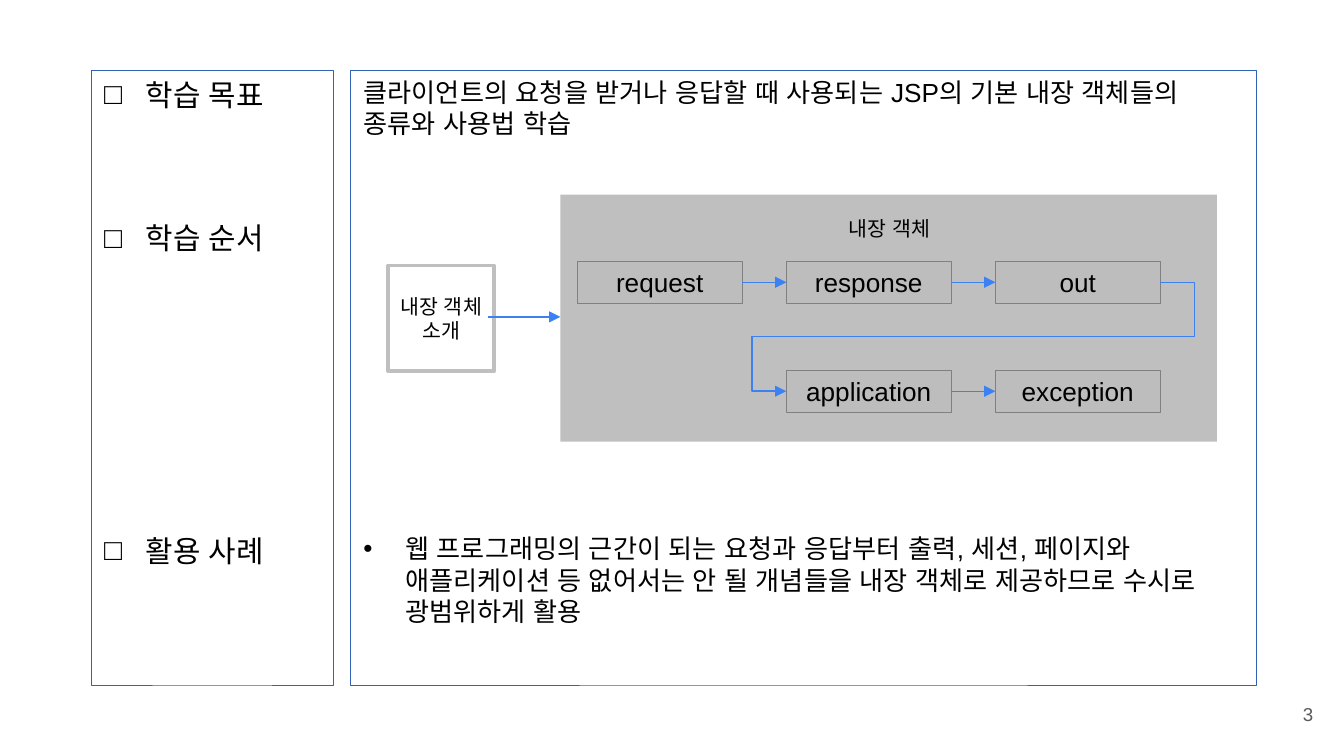
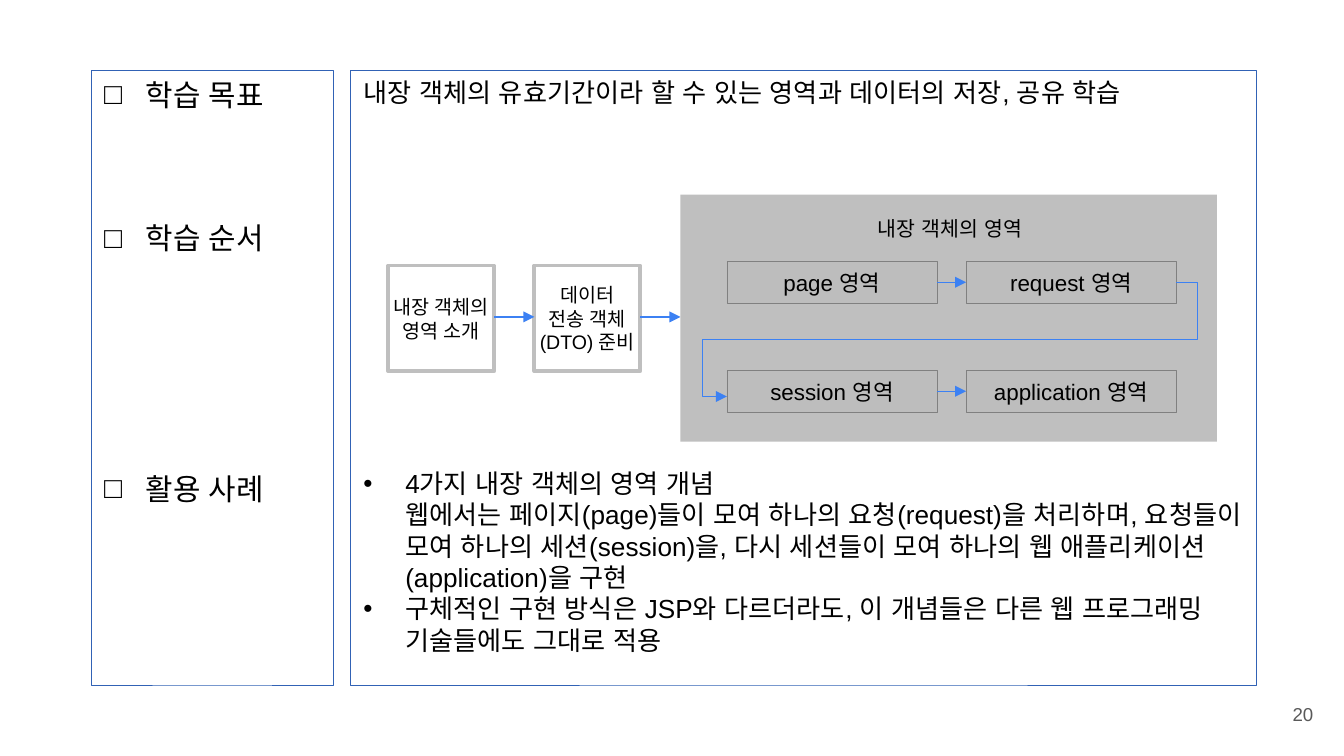
from dataclasses import dataclass
from itertools import pairwise

from lxml.etree import SubElement
from pptx import Presentation
from pptx.dml.color import RGBColor
from pptx.enum.shapes import MSO_CONNECTOR as Connector, MSO_SHAPE as Preset
from pptx.enum.text import MSO_ANCHOR as Anchor, PP_ALIGN as Align
from pptx.oxml.ns import qn
from pptx.shapes.autoshape import Shape
from pptx.shapes.connector import Connector as ConnectorShape
from pptx.slide import Slide
from pptx.text.text import TextFrame
from pptx.util import Cm, Pt

FONT = "Arial"
BLACK, WHITE, PAGE_GREY = "000000", "FFFFFF", "595959"
PANEL_BLUE, ARROW_BLUE = "3162B5", "3C81F3"
GROUP_GREY, STEP_GREY, STEP_EDGE = "BFBFBF", "BDBDBD", "808080"

INDENT = 0.79
PANEL_TOP, PANEL_HEIGHT = 1.32, 11.63
INTRO_LEFT, INTRO_TOP, INTRO_SIZE, INTRO_PITCH = 7.34, 5.02, 2.0, 2.76
GROUP_TOP, GROUP_HEIGHT, GROUP_RIGHT = 3.68, 4.67, 23.0
STEP_HEIGHT, ROW_TOPS = 0.79, (4.94, 7.0)
LEAD_Y = 5.99


@dataclass(frozen=True)
class Box:
    left: float
    top: float
    width: float
    height: float

    @property
    def right(self) -> float:
        return self.left + self.width

    @property
    def middle(self) -> float:
        return self.top + self.height / 2


@dataclass(frozen=True)
class Para:
    text: str
    bullet: str = ""
    before: float = 0


@dataclass(frozen=True)
class Step:
    text: str
    column: int
    row: int


@dataclass(frozen=True)
class Grid:
    left: float
    width: float
    pitch: float

    def cell(self, step: Step) -> Box:
        return Box(self.left + step.column * self.pitch, ROW_TOPS[step.row],
                   self.width, STEP_HEIGHT)


@dataclass(frozen=True)
class ReturnPath:
    """How far the row-to-row arrow runs out on each side, and how low it ends."""
    right: float
    left: float
    drop: float = 0


@dataclass(frozen=True)
class Lesson:
    page: str
    heading_gaps: tuple[float, ...]
    body: tuple[Para, ...]
    intros: tuple[str, ...]
    intro_points: float
    intro_overlap: float
    group_left: float
    group_title: str
    grid: Grid
    steps: tuple[Step, ...]
    step_points: float
    return_path: ReturnPath


HEADINGS = ("학습 목표", "학습 순서", "활용 사례")

LESSONS = (
    Lesson(
        page="3",
        heading_gaps=(0, 57.8, 148.4),
        body=(
            Para("클라이언트의 요청을 받거나 응답할 때 사용되는 JSP의 기본 내장 객체들의 "
                 "종류와 사용법 학습"),
            Para("웹 프로그래밍의 근간이 되는 요청과 응답부터 출력, 세션, 페이지와 "
                 "애플리케이션 등 없어서는 안 될 개념들을 내장 객체로 제공하므로 수시로 "
                 "광범위하게 활용", "•", 210.8),
        ),
        intros=("내장 객체\n소개",),
        intro_points=11,
        intro_overlap=0.12,
        group_left=10.59,
        group_title="내장 객체",
        grid=Grid(10.91, 3.12, 3.95),
        steps=(Step("request", 0, 0), Step("response", 1, 0), Step("out", 2, 0),
               Step("application", 1, 1), Step("exception", 2, 1)),
        step_points=14,
        return_path=ReturnPath(0.64, 0.64),
    ),
    Lesson(
        page="20",
        heading_gaps=(0, 57.8, 115.2),
        body=(
            Para("내장 객체의 유효기간이라 할 수 있는 영역과 데이터의 저장, 공유 학습"),
            Para("4가지 내장 객체의 영역 개념\n"
                 "웹에서는 페이지(page)들이 모여 하나의 요청(request)을 처리하며, "
                 "요청들이 모여 하나의 세션(session)을, 다시 세션들이 모여 하나의 웹 "
                 "애플리케이션(application)을 구현", "•", 192.6),
            Para("구체적인 구현 방식은 JSP와 다르더라도, 이 개념들은 다른 웹 프로그래밍 "
                 "기술들에도 그대로 적용", "•"),
        ),
        intros=("내장 객체의\n영역 소개", "데이터\n전송 객체\n(DTO) 준비"),
        intro_points=10.5,
        intro_overlap=0,
        group_left=12.86,
        group_title="내장 객체의 영역",
        grid=Grid(13.74, 3.97, 4.52),
        steps=(Step("page 영역", 0, 0), Step("request 영역", 1, 0),
               Step("session 영역", 0, 1), Step("application 영역", 1, 1)),
        step_points=12,
        return_path=ReturnPath(0.41, 0.46, 0.1),
    ),
)


def rgb(color: str) -> RGBColor:
    return RGBColor.from_string(color)


def write(frame: TextFrame, paras: tuple[Para, ...], points: float,
          align: Align = Align.LEFT, color: str = BLACK) -> None:
    """Write paragraphs; a newline inside one becomes a line break."""
    for index, para in enumerate(paras):
        paragraph = frame.add_paragraph() if index else frame.paragraphs[0]
        paragraph.alignment = align
        paragraph.space_before = Pt(para.before)
        if para.bullet:
            props = paragraph._p.get_or_add_pPr()
            props.set("marL", str(Cm(INDENT)))
            props.set("indent", str(-Cm(INDENT)))
            bullet_color = SubElement(props, qn("a:buClr"))
            SubElement(bullet_color, qn("a:srgbClr"), val=BLACK)
            SubElement(props, qn("a:buFont"), typeface=FONT)
            SubElement(props, qn("a:buChar"), char=para.bullet)
        for number, line in enumerate(para.text.split("\n")):
            if number:
                paragraph.add_line_break()
            run = paragraph.add_run()
            run.text = line
            run.font.name, run.font.size = FONT, Pt(points)
            run.font.color.rgb = rgb(color)
            SubElement(run._r.get_or_add_rPr(), qn("a:ea"), typeface=FONT)


def add_box(slide: Slide, box: Box, fill: str = "", line: str = "",
            line_points: float = 0, anchor: Anchor = Anchor.MIDDLE,
            wrap: bool = True) -> Shape:
    shape = slide.shapes.add_shape(Preset.RECTANGLE, Cm(box.left), Cm(box.top),
                                   Cm(box.width), Cm(box.height))
    shape.shadow.inherit = False
    if fill:
        shape.fill.solid()
        shape.fill.fore_color.rgb = rgb(fill)
    else:
        shape.fill.background()
    if line:
        shape.line.color.rgb = rgb(line)
        shape.line.width = Pt(line_points)
    else:
        shape.line.fill.background()
    shape.text_frame.vertical_anchor = anchor
    shape.text_frame.word_wrap = wrap
    return shape


def add_arrow(slide: Slide, start: tuple[float, float], end: tuple[float, float],
              kind: Connector = Connector.STRAIGHT) -> ConnectorShape:
    arrow = slide.shapes.add_connector(kind, *map(Cm, start + end))
    arrow.line.color.rgb = rgb(ARROW_BLUE)
    arrow.line.width = Pt(0.75)
    SubElement(arrow.line._get_or_add_ln(), qn("a:tailEnd"), type="triangle")
    SubElement(arrow._element.spPr, qn("a:effectLst"))
    return arrow


def add_return_arrow(slide: Slide, source: Box, target: Box, route: ReturnPath) -> None:
    """Lead from the end of one row back to the start of the next."""
    arrow = add_arrow(slide, (source.right, source.middle),
                      (target.left, target.middle + route.drop), Connector.ELBOW)
    span = source.right - target.left
    geometry = arrow._element.spPr.find(qn("a:prstGeom"))
    geometry.set("prst", "bentConnector5")
    guides = geometry.find(qn("a:avLst"))
    for number, share in enumerate((-route.right / span, 0.5, 1 + route.left / span), 1):
        SubElement(guides, qn("a:gd"), name=f"adj{number}",
                   fmla=f"val {round(share * 100000)}")


def add_panels(slide: Slide, lesson: Lesson) -> None:
    headings = tuple(Para(text, "□", gap)
                     for text, gap in zip(HEADINGS, lesson.heading_gaps))
    for left, width, paras, points in ((1.72, 4.58, headings, 16),
                                       (6.62, 17.13, lesson.body, 14)):
        panel = add_box(slide, Box(left, PANEL_TOP, width, PANEL_HEIGHT),
                        line=PANEL_BLUE, line_points=0.25, anchor=Anchor.TOP)
        write(panel.text_frame, paras, points)


def add_intros(slide: Slide, lesson: Lesson) -> None:
    boxes = [Box(INTRO_LEFT + index * INTRO_PITCH, INTRO_TOP, INTRO_SIZE, INTRO_SIZE)
             for index in range(len(lesson.intros))]
    for box, text in zip(boxes, lesson.intros):
        intro = add_box(slide, box, WHITE, GROUP_GREY, 2, wrap=False)
        write(intro.text_frame, (Para(text),), lesson.intro_points, Align.CENTER)
    ends = [box.left for box in boxes[1:]] + [lesson.group_left]
    for box, end in zip(boxes, ends):
        add_arrow(slide, (box.right - lesson.intro_overlap, LEAD_Y), (end, LEAD_Y))


def add_group(slide: Slide, lesson: Lesson) -> None:
    group = add_box(slide, Box(lesson.group_left, GROUP_TOP,
                               GROUP_RIGHT - lesson.group_left, GROUP_HEIGHT),
                    GROUP_GREY, anchor=Anchor.TOP, wrap=False)
    group.text_frame.margin_top = Cm(0.41)
    group.text_frame.margin_right = Cm(0.2)
    write(group.text_frame, (Para(lesson.group_title),), 11, Align.CENTER)
    for step in lesson.steps:
        shape = add_box(slide, lesson.grid.cell(step), STEP_GREY, STEP_EDGE, 0.5)
        write(shape.text_frame, (Para(step.text),), lesson.step_points, Align.CENTER)
    for step, following in pairwise(lesson.steps):
        source, target = lesson.grid.cell(step), lesson.grid.cell(following)
        if step.row == following.row:
            add_arrow(slide, (source.right, source.middle), (target.left, target.middle))
        else:
            add_return_arrow(slide, source, target, lesson.return_path)


def add_page_number(slide: Slide, page: str) -> None:
    frame = slide.shapes.add_textbox(Cm(23.55), Cm(12.95), Cm(1.52), Cm(1.09)).text_frame
    frame.word_wrap = True
    frame.vertical_anchor = Anchor.MIDDLE
    frame.margin_top = frame.margin_bottom = Cm(0.25)
    write(frame, (Para(page),), 10, Align.RIGHT, PAGE_GREY)


def main() -> None:
    deck = Presentation()
    deck.slide_width, deck.slide_height = Cm(25.4), Cm(14.29)
    for lesson in LESSONS:
        slide = deck.slides.add_slide(deck.slide_layouts[6])
        add_page_number(slide, lesson.page)
        add_panels(slide, lesson)
        add_intros(slide, lesson)
        add_group(slide, lesson)
    deck.save("out.pptx")


if __name__ == "__main__":
    main()
